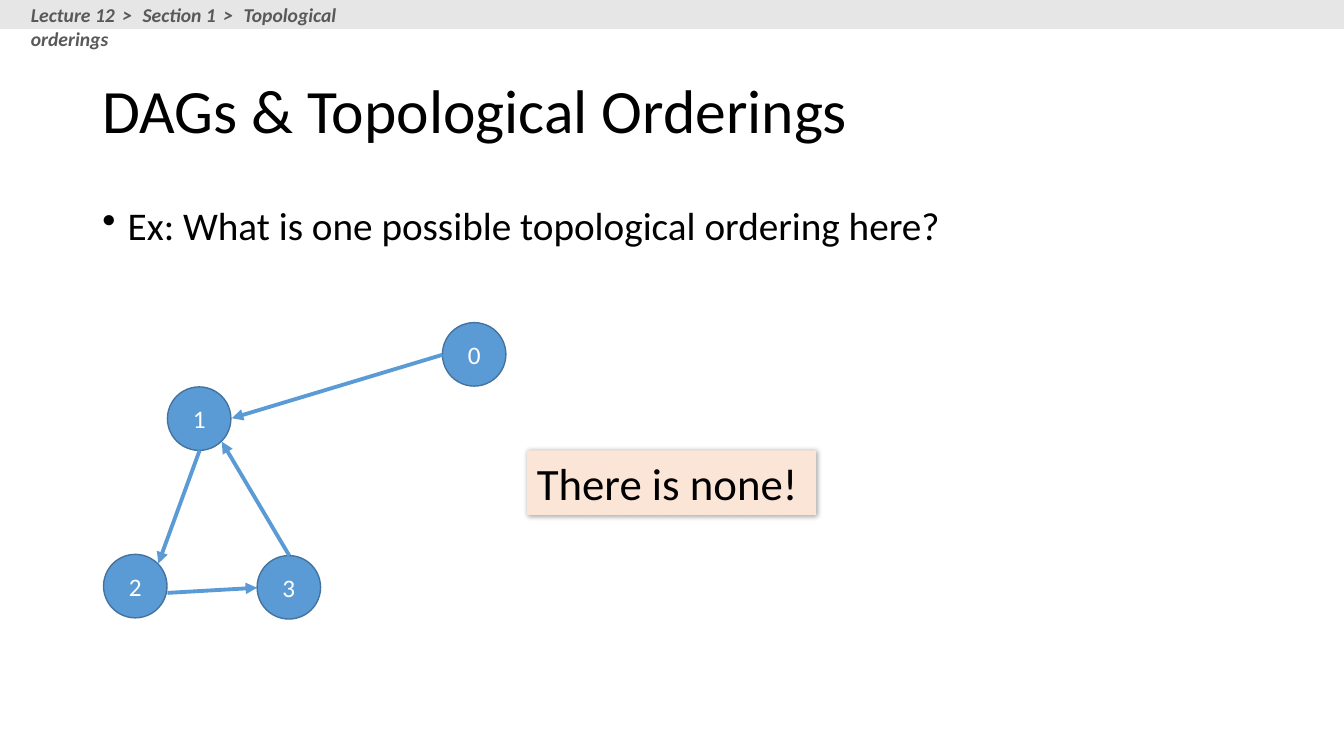
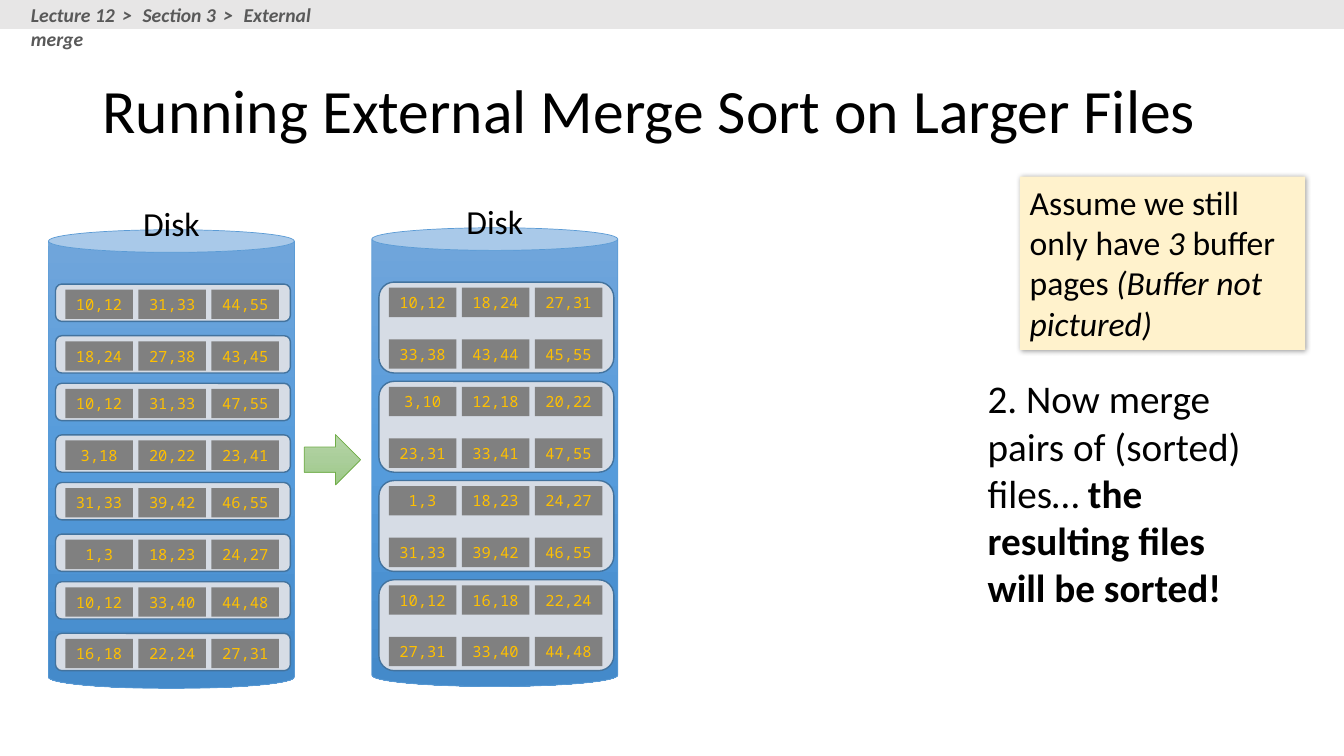
from copy import deepcopy

from lxml.etree import SubElement
from pptx import Presentation
from pptx.dml.color import RGBColor as Rgb
from pptx.enum.shapes import MSO_CONNECTOR as Link, MSO_SHAPE as Kind
from pptx.enum.text import MSO_ANCHOR as Anchor, PP_ALIGN as Align
from pptx.oxml.ns import qn
from pptx.util import Cm, Pt

BLACK = Rgb(0x00, 0x00, 0x00)
WHITE = Rgb(0xFF, 0xFF, 0xFF)
BAND = Rgb(0xE7, 0xE6, 0xE6)
CRUMB = Rgb(0x59, 0x59, 0x59)
BLUE = Rgb(0x5B, 0x9B, 0xD5)
NAVY = Rgb(0x43, 0x73, 0x9E)
GREEN = Rgb(0x70, 0xAD, 0x47)
PEACH = Rgb(0xFB, 0xE5, 0xD6)
CREAM = Rgb(0xFF, 0xF2, 0xCC)
TRAY = Rgb(0xD6, 0xDC, 0xE5)
GRAY = Rgb(0x80, 0x80, 0x80)
GOLD = Rgb(0xFF, 0xC0, 0x00)
BLUES = [Rgb(0x71, 0xA6, 0xDB), Rgb(0x55, 0x9B, 0xDB), Rgb(0x44, 0x8A, 0xCA)]
GREENS = [Rgb(0xB5, 0xD5, 0xA7), Rgb(0xAA, 0xCE, 0x9A), Rgb(0x9C, 0xC9, 0x87)]

WIDE, HIGH = 33.87, 19.05
SANS = "Calibri"
MONO = "Noto Sans Mono"

NODES = [(11.15, 8.13), (4.22, 9.75), (2.61, 13.97), (6.48, 14.0)]
EDGES = [
    (11.15, 8.94, 5.84, 10.54),
    (5.03, 11.35, 3.99, 14.2),
    (4.22, 14.94, 6.48, 14.81),
    (7.29, 14.0, 5.59, 11.13),
]
RUNS = [
    "10,12 31,33 44,55", "18,24 27,38 43,45",
    "10,12 31,33 47,55", "3,18 20,22 23,41",
    "31,33 39,42 46,55", "1,3 18,23 24,27",
    "10,12 33,40 44,48", "16,18 22,24 27,31",
]
MERGED = [
    "10,12 18,24 27,31", "33,38 43,44 45,55",
    "3,10 12,18 20,22", "23,31 33,41 47,55",
    "1,3 18,23 24,27", "31,33 39,42 46,55",
    "10,12 16,18 22,24", "27,31 33,40 44,48",
]


class Deck:
    def __init__(self):
        self.prs = Presentation()
        self.prs.slide_width = Cm(WIDE)
        self.prs.slide_height = Cm(HIGH)

    def start(self, title, *crumbs):
        self.slide = self.prs.slides.add_slide(self.prs.slide_layouts[6])
        self.shape(Kind.RECTANGLE, 0, 0, WIDE, 0.73, BAND)
        parts = [(crumbs[0], "bi")]
        for crumb in crumbs[1:]:
            parts += [(" > ", "bi"), (crumb, "bi")]
        para = self.text(0.53, -0.05, 8.6, 0.86, parts, 14, CRUMB)
        for run in para.runs[1::2]:
            run._r.get_or_add_rPr().set("spc", "210")
        para = self.text(2.33, 1.01, 29.21, 3.68, title, 44, anchor=Anchor.MIDDLE)
        para.line_spacing = 0.9

    def label(self, shape, parts, size, color=BLACK, face=SANS,
              align=Align.LEFT, anchor=Anchor.TOP, wrap=True):
        frame = shape.text_frame
        frame.word_wrap = wrap
        frame.vertical_anchor = anchor
        para = frame.paragraphs[0]
        para.alignment = align
        font = para.font
        font.name, font.size, font.color.rgb = face, Pt(size), color
        for words, style in [(parts, "")] if isinstance(parts, str) else parts:
            run = para.add_run()
            run.text = words
            if "b" in style:
                run.font.bold = True
            if "i" in style:
                run.font.italic = True
        return para

    def text(self, x, y, w, h, parts, size, color=BLACK, **style):
        box = self.slide.shapes.add_textbox(Cm(x), Cm(y), Cm(w), Cm(h))
        return self.label(box, parts, size, color, **style)

    def bullet(self, x, y, w, h, words, size):
        para = self.text(x, y, w, h, words, size)
        para.line_spacing = 0.9
        props = para._p.get_or_add_pPr()
        props.set("marL", str(Cm(0.64)))
        props.set("indent", str(-Cm(0.64)))
        mark = props.makeelement(qn("a:buChar"), {"char": "•"})
        props.find(qn("a:defRPr")).addprevious(mark)

    def shape(self, kind, x, y, w, h, fill, line=None, width=1):
        item = self.slide.shapes.add_shape(kind, Cm(x), Cm(y), Cm(w), Cm(h))
        item.shadow.inherit = False
        if isinstance(fill, list):
            self.blend(item, fill)
        else:
            item.fill.solid()
            item.fill.fore_color.rgb = fill
        if line is None:
            item.line.fill.background()
        else:
            item.line.color.rgb = line
            item.line.width = Pt(width)
        return item

    def blend(self, item, colors):
        item.fill.gradient()
        item.fill.gradient_angle = 270
        stops = item.fill.gradient_stops
        for stop, color in zip(stops, colors[::2]):
            stop.color.rgb = color
        stops[0].position, stops[1].position = 0, 1
        first = item._element.spPr.find(".//" + qn("a:gs"))
        first.addnext(deepcopy(first))
        middle = item.fill.gradient_stops[1]
        middle.position = 0.5
        middle.color.rgb = colors[1]

    def note(self, x, y, w, h, fill, parts, size):
        card = self.shape(Kind.RECTANGLE, x, y, w, h, fill)
        glow = card._element.spPr.find(qn("a:effectLst"))
        shade = SubElement(glow, qn("a:outerShdw"), blurRad=str(Pt(4)),
                           dist=str(Pt(1)), dir="2700000", algn="tl", rotWithShape="0")
        tint = SubElement(shade, qn("a:srgbClr"), val=str(BLACK))
        SubElement(tint, qn("a:alpha"), val="40000")
        self.label(card, parts, size)

    def node(self, x, y, name):
        ball = self.shape(Kind.OVAL, x, y, 1.6, 1.6, BLUE, NAVY)
        self.label(ball, name, 18, WHITE, align=Align.CENTER, anchor=Anchor.MIDDLE)

    def arrow(self, *ends):
        edge = self.slide.shapes.add_connector(Link.STRAIGHT, *map(Cm, ends))
        edge.line.color.rgb = BLUE
        edge.line.width = Pt(2.75)
        props = edge._element.spPr
        SubElement(props.find(qn("a:ln")), qn("a:tailEnd"), type="triangle")
        SubElement(props, qn("a:effectLst"))

    def cell(self, x, y, words):
        page = self.shape(Kind.RECTANGLE, x, y, 1.7, 0.74, GRAY)
        self.label(page, words, 11, GOLD, MONO, Align.CENTER, Anchor.MIDDLE, False)

    def disk(self, x, y, rows, group):
        can = self.shape(Kind.CAN, x, y, 6.2, 11.56, BLUES, BLUE, 0.5)
        can.adjustments[0] = 0.092
        self.text(x + 1.83, y - 0.81, 2.54, 1.27, "Disk", 24, align=Align.CENTER)
        for i, row in enumerate(rows):
            drop = i // 2 * 2.5 + i % 2 * 1.3
            if i % group == 0:
                tall = 0.94 if group == 1 else 2.29
                self.shape(Kind.ROUNDED_RECTANGLE, x + 0.18, y + 1.37 + drop,
                           5.92, tall, TRAY, NAVY)
            for j, words in enumerate(row.split()):
                self.cell(x + 0.43 + j * 1.84, y + 1.51 + drop, words)


def main():
    deck = Deck()

    deck.start("DAGs & Topological Orderings",
               "Lecture 12", "Section 1", "Topological orderings")
    deck.bullet(2.33, 5.08, 29.21, 12.09,
                "Ex: What is one possible topological ordering here?", 28)
    for i, (x, y) in enumerate(NODES):
        deck.node(x, y, str(i))
    for ends in EDGES:
        deck.arrow(*ends)
    deck.note(13.28, 11.35, 7.29, 1.63, PEACH, "There is none!", 32)

    deck.start("Running External Merge Sort on Larger Files",
               "Lecture 12", "Section 3", "External merge")
    deck.disk(1.22, 5.79, RUNS, 1)
    deck.disk(9.37, 5.74, MERGED, 2)
    deck.shape(Kind.RIGHT_ARROW, 7.67, 10.95, 1.42, 1.27, GREENS, GREEN, 0.5)
    deck.text(24.64, 9.32, 7.21, 6.25, [
        ("2. Now merge pairs of (sorted) files… ", ""),
        ("the resulting files will be sorted!", "b"),
    ], 28)
    deck.note(25.7, 4.45, 7.19, 4.37, CREAM, [
        ("Assume we still only have ", ""),
        ("3", "i"),
        (" buffer pages ", ""),
        ("(Buffer not pictured)", "i"),
    ], 24)

    deck.prs.save("out.pptx")


if __name__ == "__main__":
    main()
